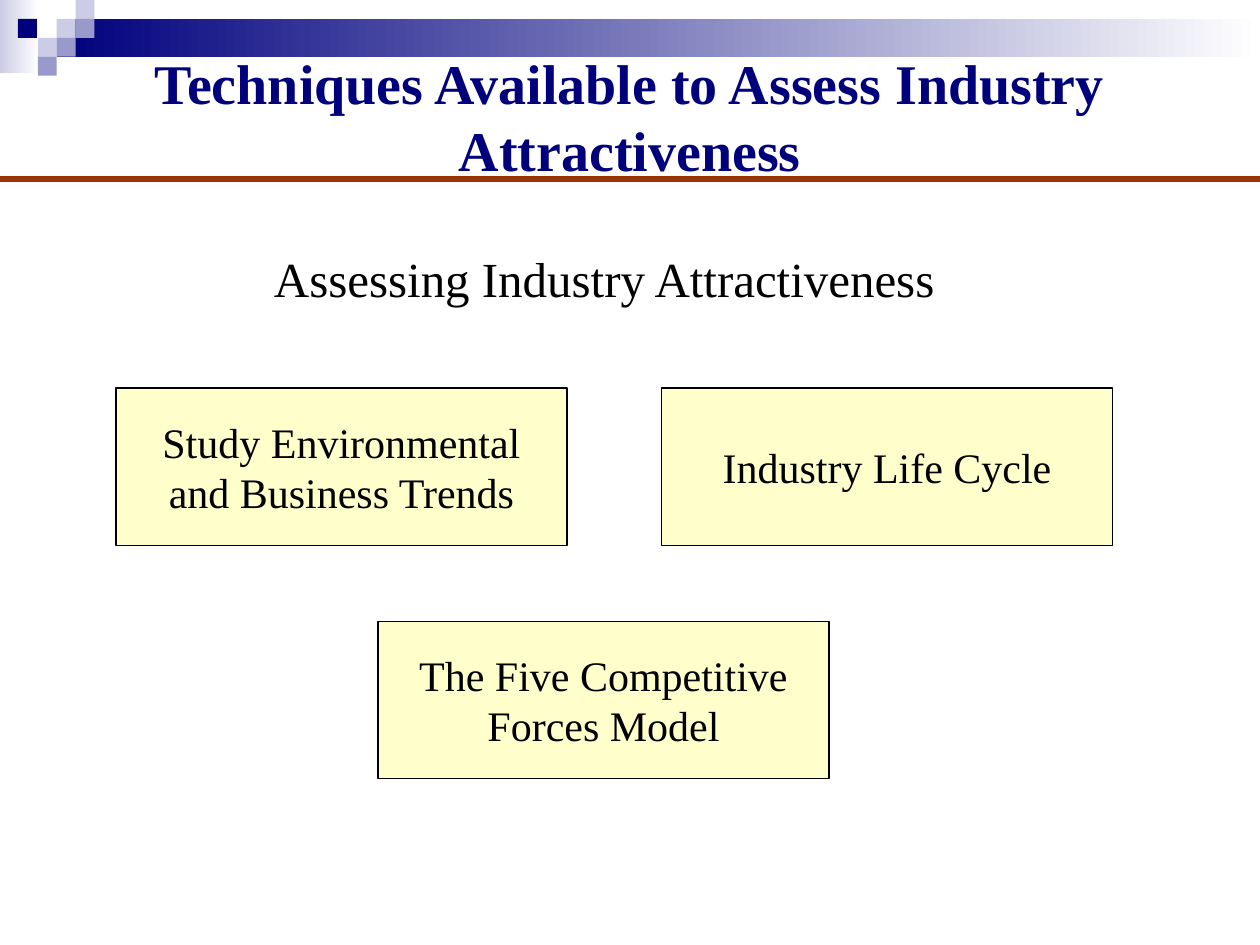
import pptx
import pptx.util
import pptx.dml.color
import pptx.enum.shapes
import pptx.enum.text
import lxml.etree

deck = pptx.Presentation()
deck.slide_width = pptx.util.Inches(10)
deck.slide_height = pptx.util.Inches(7.5)
slide = deck.slides.add_slide(deck.slide_layouts[5])
RECT = pptx.enum.shapes.MSO_SHAPE.RECTANGLE
MID = pptx.enum.text.MSO_ANCHOR.MIDDLE
CELL = 0.15  # grid step of the corner squares


def tint(color, code):
    color.rgb = pptx.dml.color.RGBColor.from_string(code)


def write(frame, text, code, look, **form):
    frame.text = text
    form = {"auto_size": pptx.enum.text.MSO_AUTO_SIZE.NONE, "word_wrap": True,
            "vertical_anchor": MID, **form}
    for key, val in form.items():
        setattr(frame, key, val)
    for para in frame.paragraphs:
        para.alignment = pptx.enum.text.PP_ALIGN.CENTER
        for run in para.runs:
            tint(run.font.color, code)
            for key, val in {"name": "Times New Roman", **look}.items():
                setattr(run.font, key, val)


# Fading bands at the top
for left, top, wide, high, code in [(0, 0, 0.31, 0.58, "CCCCE6"),
                                    (0.45, CELL, 9.55, 0.3, "00007D")]:
    band = slide.shapes.add_shape(RECT, *map(pptx.util.Inches, (left, top, wide, high)))
    band.shadow.inherit = False
    band.line.fill.background()
    band.fill.gradient()
    band.fill.gradient_angle = 0
    for stop, hue in zip(band.fill.gradient_stops, (code, "FFFFFF")):
        tint(stop.color, hue)

# Corner squares: column, row, colour
for col, row, code in [(3, 1, "CCCCE6"), (4, 0, "CCCCE6"), (4, 1, "9999CC"),
                       (2, 2, "CCCCE6"), (0.95, 1, "00007D"), (3, 2, "9999CC"),
                       (2, 3, "9999CC")]:
    spot = [pptx.util.Inches(n * CELL) for n in (col, row, 1, 1)]
    square = slide.shapes.add_shape(RECT, *spot)
    square.shadow.inherit = False
    square.line.fill.background()
    square.fill.solid()
    tint(square.fill.fore_color, code)

# Title and the rule under it
title = slide.shapes.title
title.left, title.top = 0, pptx.util.Inches(0.42)
title.width, title.height = deck.slide_width, pptx.util.Inches(1)
write(title.text_frame, "Techniques Available to Assess Industry\vAttractiveness",
      "00007D", {"size": pptx.util.Pt(32), "bold": True})

level = pptx.util.Inches(1.42)
rule = slide.shapes.add_connector(pptx.enum.shapes.MSO_CONNECTOR.STRAIGHT,
                                  0, level, deck.slide_width, level)
tint(rule.line.color, "993300")
rule.line.width = pptx.util.Pt(3)
props = rule.element.spPr
lxml.etree.SubElement(props, pptx.oxml.ns.qn("a:effectLst"))

# Heading
head = slide.shapes.add_textbox(*map(pptx.util.Inches, (1.92, 1.92, 5.75, 0.57)))
write(head.text_frame, "Assessing Industry Attractiveness", "000000",
      {"size": pptx.util.Pt(28)}, vertical_anchor=pptx.enum.text.MSO_ANCHOR.TOP)

# Technique boxes
for left, top, text in [(0.92, 3.08, "Study Environmental\nand Business Trends"),
                        (5.25, 3.08, "Industry Life Cycle"),
                        (3, 4.93, "The Five Competitive\nForces Model")]:
    box = slide.shapes.add_shape(RECT, *map(pptx.util.Inches, (left, top, 3.58, 1.25)))
    box.shadow.inherit = False
    box.fill.solid()
    tint(box.fill.fore_color, "FFFFCC")
    tint(box.line.color, "000000")
    box.line.width = pptx.util.Pt(0.75)
    write(box.text_frame, text, "000000", {"size": pptx.util.Pt(24)}, word_wrap=False)

deck.save("out.pptx")
